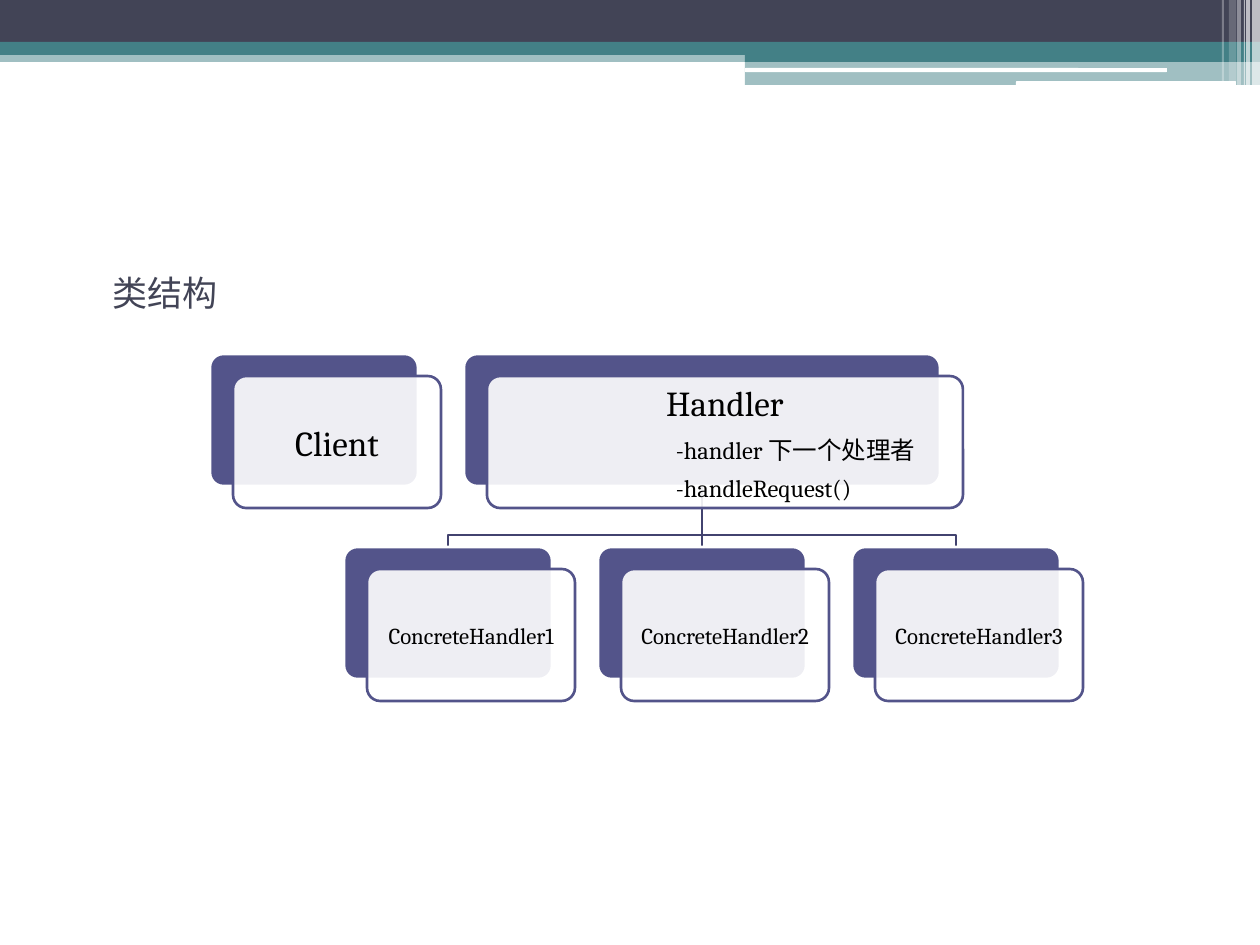
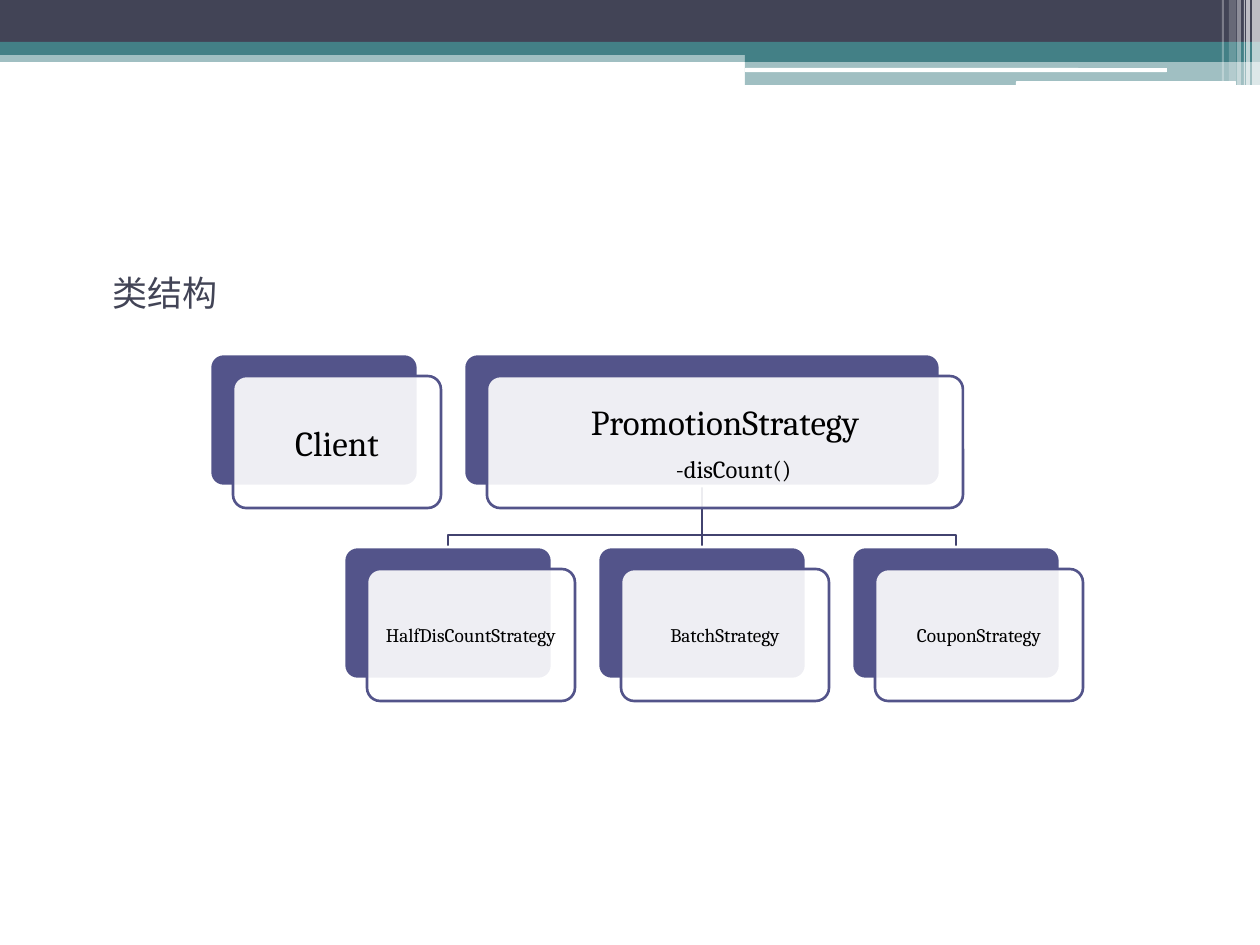
from lxml import etree
from pptx import Presentation
from pptx import util as u
from pptx.dml.color import RGBColor
from pptx.enum import shapes, text
from pptx.oxml.ns import qn

COLORS = {"ink": "424456", "teal": "438086", "white": "FFFFFF",
          "box": "53548A", "branch": "42436F", "black": "000000"}

DIAGRAMS = [
    {"title": "类结构", "client": "Client", "parent": "Handler",
     "members": ["-handler 下一个处理者", "-handleRequest()"],
     "children": ["ConcreteHandler1", "ConcreteHandler2", "ConcreteHandler3"],
     "child_size": 13},
    {"title": "类结构", "client": "Client", "parent": "PromotionStrategy",
     "members": ["-disCount()"],
     "children": ["HalfDisCountStrategy", "BatchStrategy", "CouponStrategy"],
     "child_size": 11},
]

RECT = shapes.MSO_SHAPE.RECTANGLE
ROUND = shapes.MSO_SHAPE.ROUNDED_RECTANGLE
BANDS = [
    (RECT, (0, 50, 1260, 12), "teal", 50),
    (RECT, (0, 0, 1260, 42), "ink", 100),
    (RECT, (0, 42, 1260, 13), "teal", 100),
    (RECT, (745, 49, 515, 13), "teal", 100),
    (RECT, (745, 61, 515, 24), "teal", 50),
    (ROUND, (745, 68, 422, 4), "white", 100),
    (ROUND, (1016, 81, 220, 5), "white", 100),
]
STRIPES = [(1252, 8, 86, 65), (1246, 4, 86, 65), (1244, 1, 86, 60),
           (1237, 4, 86, 40), (1229, 7, 81, 20), (1222, 2, 81, 30)]
BANDS += [(RECT, (x, 0, w, h), "white", alpha) for x, w, h, alpha in STRIPES]

PX = 914400 / 126
CARD_W, CARD_H, PARENT_W = 208, 132, 476
STEP = 254
SHIFT_X, SHIFT_Y = 23, 22
CLIENT_X, TOP_Y, CHILD_Y, FORK_Y = 210, 354, 547, 535
PARENT_X = CLIENT_X + STEP
MIDDLE_X = PARENT_X + PARENT_W // 2
MEMBER_INDENT = 175
TITLE_PLACE = {"left": 100, "top": 265, "width": 1071, "height": 188}
TITLE_FRAME = {"vertical_anchor": text.MSO_ANCHOR.TOP, "word_wrap": True,
               "auto_size": text.MSO_AUTO_SIZE.NONE}
CARD_FRAME = {"vertical_anchor": text.MSO_ANCHOR.MIDDLE, "word_wrap": True}


def px(length):
    return u.Emu(round(length * PX))


def rgb(color):
    return RGBColor.from_string(COLORS[color])


def assign(target, values):
    for key, value in values.items():
        setattr(target, key, value)


def draw_line(line, color):
    line.color.rgb = rgb(color)
    line.width = u.Pt(1.5)


def draw_shape(slide, kind, place, color, alpha=100, border=None, corner=0.17):
    shape = slide.shapes.add_shape(kind, *map(px, place))
    shape.shadow.inherit = False
    shape.fill.solid()
    shape.fill.fore_color.rgb = rgb(color)
    if alpha < 100:
        tint = shape.element.spPr.find(".//" + qn("a:srgbClr"))
        etree.SubElement(tint, qn("a:alpha"), val=str(alpha * 1000))
    if border:
        draw_line(shape.line, border)
    else:
        shape.line.fill.background()
    if kind == ROUND:
        shape.adjustments[0] = corner
    return shape


def write(paragraph, words, size, font, color, align, after=0):
    assign(paragraph, {"text": words, "alignment": align, "space_after": u.Pt(after)})
    assign(paragraph.font, {"size": u.Pt(size), "name": font})
    paragraph.font.color.rgb = rgb(color)


def draw_card(slide, x, y, width, heading, size, inset, members=()):
    draw_shape(slide, ROUND, (x, y, width, CARD_H), "box", border="white", corner=0.1)
    front = draw_shape(slide, ROUND, (x + SHIFT_X, y + SHIFT_Y, width, CARD_H),
                       "white", 90, "box", 0.1)
    frame = front.text_frame
    assign(frame, CARD_FRAME)
    assign(frame, {f"margin_{side}": px(inset) for side in ("left", "top", "right", "bottom")})
    write(frame.paragraphs[0], heading, size, "Cambria", "black",
          text.PP_ALIGN.CENTER, size * 0.35)
    for member in members:
        line = frame.add_paragraph()
        write(line, member, 14, "Cambria", "black", text.PP_ALIGN.LEFT, 5)
        line._p.get_or_add_pPr().set("marL", str(px(MEMBER_INDENT)))


def draw_branch(slide, child_x):
    start_y = TOP_Y + CARD_H
    if child_x == MIDDLE_X:
        stem = slide.shapes.add_connector(
            shapes.MSO_CONNECTOR.STRAIGHT,
            *map(px, (MIDDLE_X, start_y, child_x, CHILD_Y)))
        draw_line(stem.line, "branch")
        etree.SubElement(stem.element.spPr, qn("a:effectLst"))
        return
    builder = slide.shapes.build_freeform(MIDDLE_X, start_y, scale=PX)
    builder.add_line_segments(
        [(MIDDLE_X, FORK_Y), (child_x, FORK_Y), (child_x, CHILD_Y)], close=False)
    elbow = builder.convert_to_shape()
    elbow.shadow.inherit = False
    elbow.fill.background()
    draw_line(elbow.line, "branch")


def share_bands(layout, slide):
    for depth, band in enumerate(BANDS, start=2):
        layout.shapes.element.insert(depth, draw_shape(slide, *band).element)


def draw_diagram(slide, diagram):
    title = slide.shapes.title
    assign(title, {side: px(length) for side, length in TITLE_PLACE.items()})
    assign(title.text_frame, TITLE_FRAME)
    write(title.text_frame.paragraphs[0], diagram["title"], 20, "Cabin", "ink",
          text.PP_ALIGN.LEFT)

    children = diagram["children"]
    centers = [MIDDLE_X + round((i - (len(children) - 1) / 2) * STEP)
               for i in range(len(children))]
    for center in centers:
        draw_branch(slide, center)
    draw_card(slide, CLIENT_X, TOP_Y, CARD_W, diagram["client"], 20, 10)
    draw_card(slide, PARENT_X, TOP_Y, PARENT_W, diagram["parent"], 20, 10,
              diagram["members"])
    for center, child in zip(centers, children):
        draw_card(slide, center - CARD_W // 2, CHILD_Y, CARD_W, child,
                  diagram["child_size"], 6)


def main():
    deck = Presentation()
    assign(deck, {"slide_width": px(1260), "slide_height": px(945)})
    layout = deck.slide_layouts[5]
    for number, diagram in enumerate(DIAGRAMS):
        slide = deck.slides.add_slide(layout)
        if number == 0:
            share_bands(layout, slide)
        draw_diagram(slide, diagram)
    deck.save("out.pptx")


if __name__ == "__main__":
    main()
